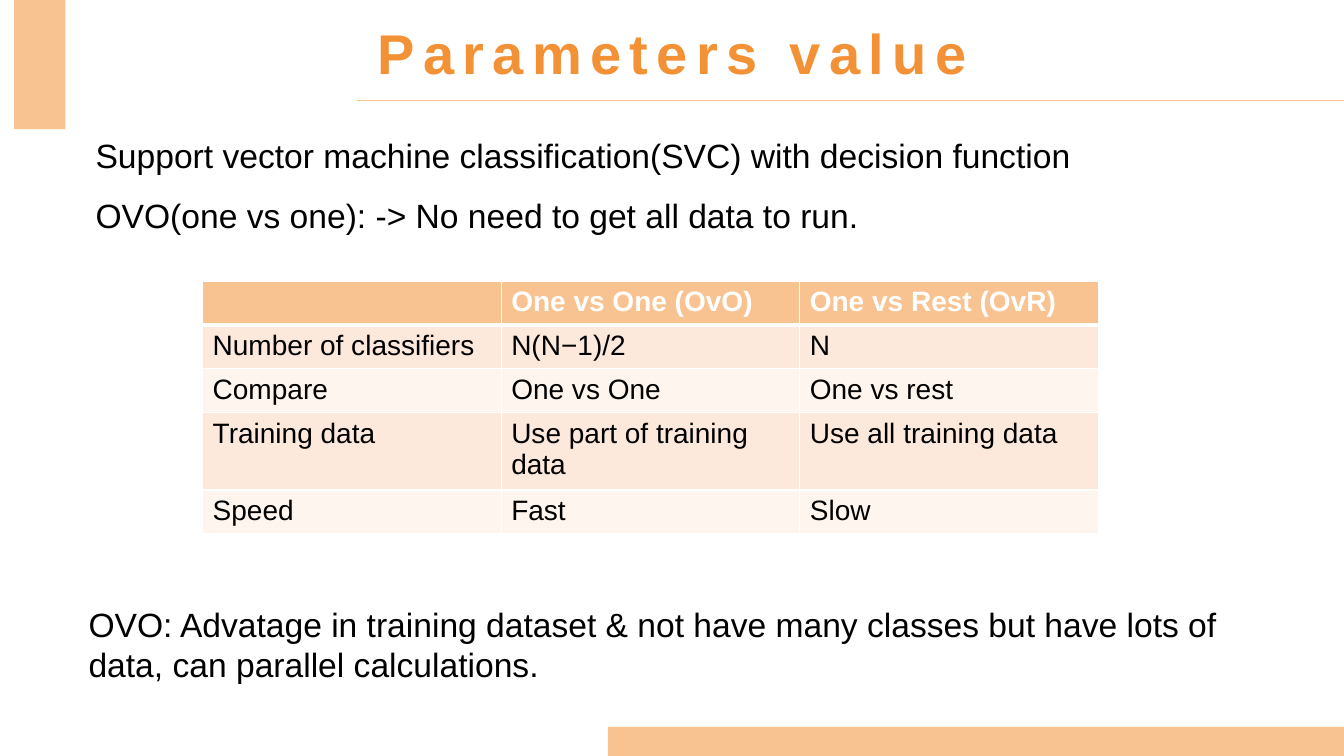
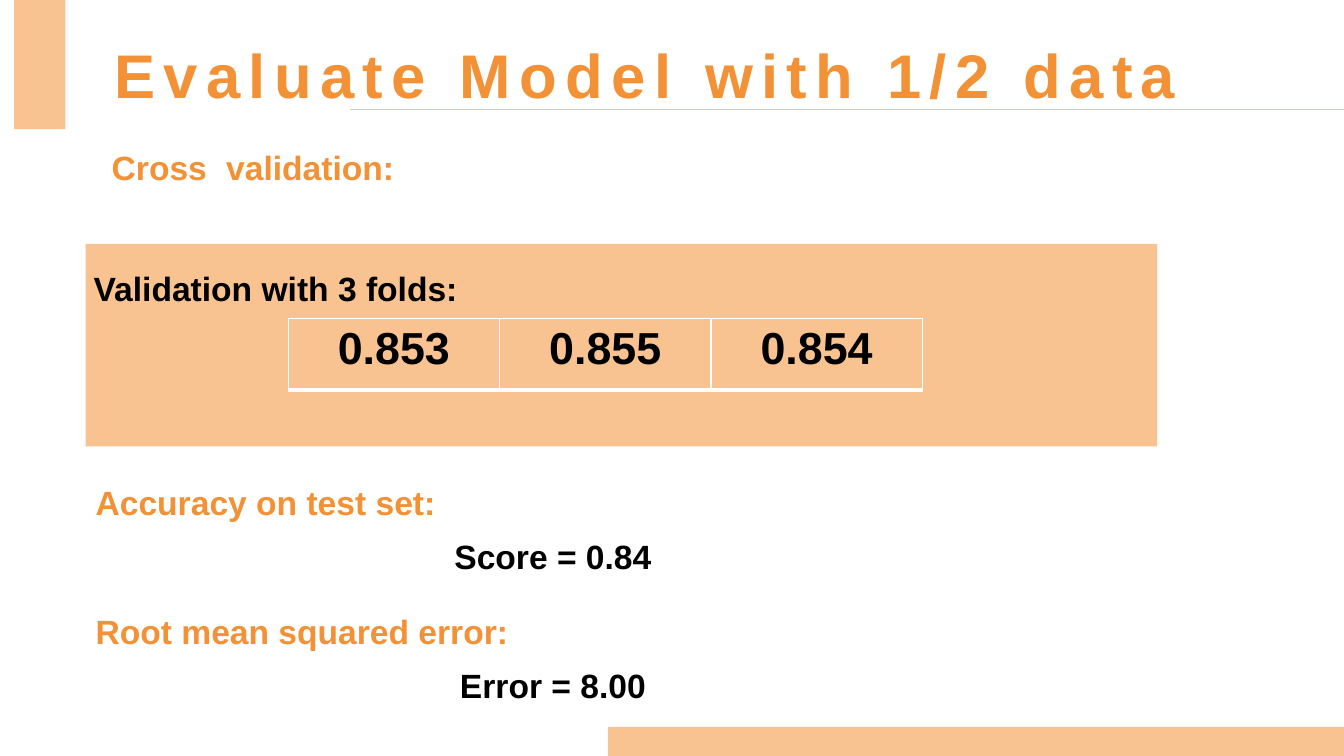
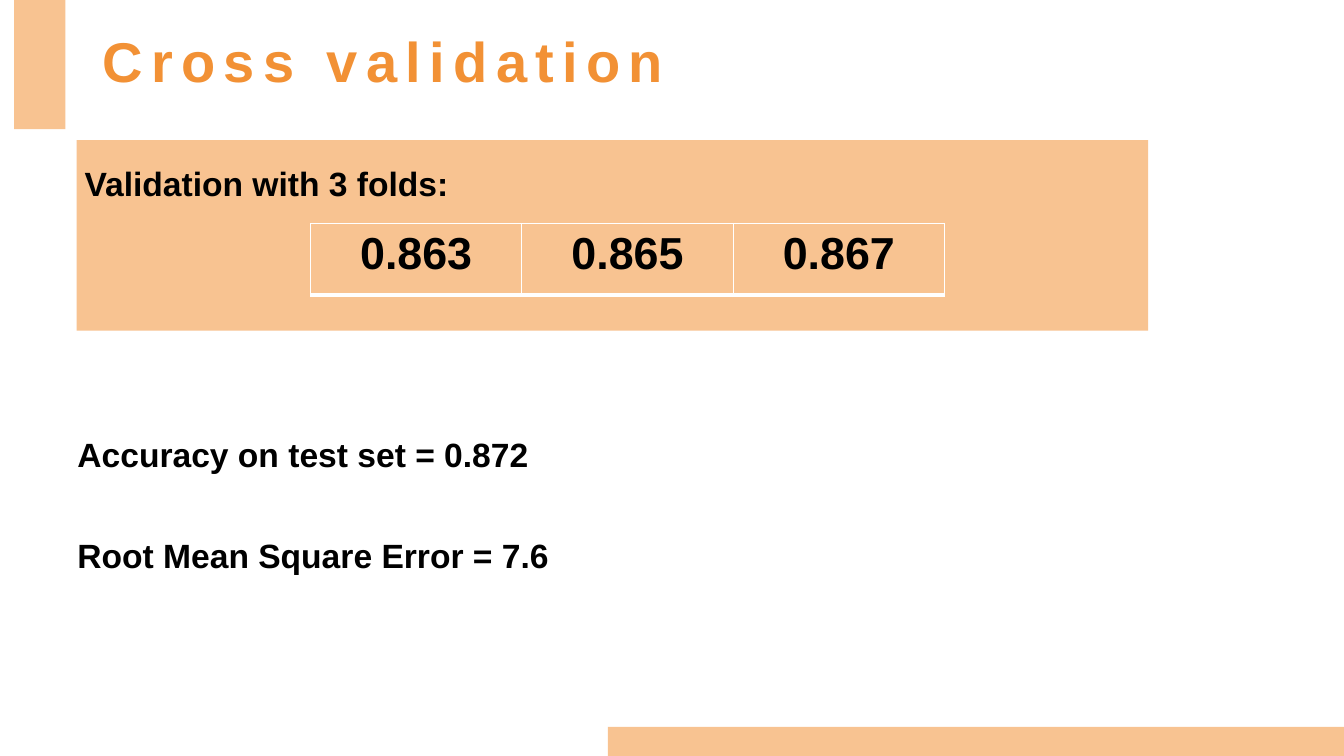
from dataclasses import dataclass
from lxml.etree import SubElement
from pptx import Presentation
from pptx.dml.color import RGBColor
from pptx.enum.shapes import MSO_CONNECTOR, MSO_SHAPE
from pptx.enum.text import MSO_ANCHOR, PP_ALIGN
from pptx.oxml.ns import qn
from pptx.util import Pt


@dataclass(frozen=True)
class Theme:
    font: str = "Arial"
    band: str = "F8C391"
    accent: str = "F29135"
    ink: str = "000000"
    paper: str = "FFFFFF"
    row_dark: str = "FCE9DC"
    row_light: str = "FEF5EE"
    title: int = 40
    large_title: int = 44
    score: int = 32
    body: int = 24
    cell: int = 20
    tracking: int = 6


theme = Theme()


def style_paragraph(paragraph, size, color, bold=False, align=PP_ALIGN.LEFT, tracking=0):
    paragraph.alignment = align
    font = paragraph.font
    font.name, font.size, font.bold = theme.font, Pt(size), bold
    font.color.rgb = RGBColor.from_string(color)
    if tracking:
        paragraph._p.pPr.find(qn("a:defRPr")).set("spc", str(tracking * 100))


def add_text(slide, box, text, size=theme.body, color=theme.ink, bold=True,
             align=PP_ALIGN.LEFT, anchor=MSO_ANCHOR.TOP, spacing=None, tracking=0):
    shape = slide.shapes.add_textbox(*map(Pt, box))
    frame = shape.text_frame
    frame.word_wrap = True
    frame.vertical_anchor = anchor
    paragraph = frame.paragraphs[0]
    paragraph.add_run().text = text
    paragraph.line_spacing = spacing
    style_paragraph(paragraph, size, color, bold, align, tracking)
    return paragraph


presentation = Presentation()
presentation.slide_width, presentation.slide_height = Pt(960), Pt(540)
blank_layout = presentation.slide_layouts[6]

# Shared bands, panels behind the scores and title rules
bands = [(10.1, 0, 36.7, 92.2), (434.2, 519.1, 525.8, 20.9)]
panels = [None, (61.2, 174.2, 765.4, 144.7), (54.7, 100.1, 765.4, 136.1)]
title_rules = [(254.9, 72), (249.8, 77.8), None]
for panel, rule in zip(panels, title_rules):
    slide = presentation.slides.add_slide(blank_layout)
    for box in bands + ([panel] if panel else []):
        shape = slide.shapes.add_shape(MSO_SHAPE.RECTANGLE, *map(Pt, box))
        shape.shadow.inherit = False
        shape.fill.solid()
        shape.fill.fore_color.rgb = RGBColor.from_string(theme.band)
        shape.line.fill.background()
    if rule:
        left, top = rule
        connector = slide.shapes.add_connector(
            MSO_CONNECTOR.STRAIGHT, Pt(left), Pt(top), Pt(960), Pt(top))
        connector.line.color.rgb = RGBColor.from_string(theme.band)
        connector.line.width = Pt(0.5)
        SubElement(connector._element.spPr, qn("a:effectLst"))
parameters, evaluation, validation = presentation.slides

# Titles
title_style = dict(color=theme.accent, tracking=theme.tracking)
add_text(parameters, (24.5, 15.1, 911.5, 56.9), "Parameters value", theme.title,
         align=PP_ALIGN.CENTER, spacing=0.9, **title_style)
add_text(evaluation, (29.2, 23, 864, 60.5), "Evaluate Model with 1/2 data",
         theme.large_title, align=PP_ALIGN.CENTER, **title_style)
add_text(validation, (66.2, 17.3, 719.3, 56.9), "Cross validation", theme.title,
         anchor=MSO_ANCHOR.MIDDLE, spacing=0.9, **title_style)

# Parameters: statements above and below the table
add_text(parameters, (61.2, 78.5, 716.4, 93.2),
         "Support vector machine classification(SVC) with decision function "
         "OVO(one vs one): -> No need to get all data to run.",
         bold=False, spacing=Pt(43))
add_text(parameters, (56.2, 427.7, 861.8, 65.5),
         "OVO: Advatage in training dataset & not have many classes but have "
         "lots of data, can parallel calculations.", bold=False)

# Evaluation: headings and results
heading_style = dict(anchor=MSO_ANCHOR.MIDDLE, spacing=0.9)
cross_heading = add_text(evaluation, (72.7, 91.4, 719.3, 56.9), "Cross",
                         color=theme.accent, **heading_style)
gap = cross_heading.add_run()
gap.text = " "
gap.font.size = Pt(28)
gap._r.get_or_add_rPr().set("spc", str(theme.tracking * 100))
cross_heading.add_run().text = "validation:"
for top, heading, result in [(331.9, "Accuracy on test set:", "Score = 0.84"),
                             (424.1, "Root mean squared error:", "Error = 8.00")]:
    add_text(evaluation, (61.2, top, 719.3, 56.9), heading,
             color=theme.accent, **heading_style)
    add_text(evaluation, (150.5, top + 47.5, 488.9, 36), result, align=PP_ALIGN.CENTER)

# Validation: results
for top, result in [(297.4, "Accuracy on test set = 0.872"),
                    (370.1, "Root Mean Square Error = 7.6")]:
    add_text(validation, (48.2, top, 872.6, 56.9), result, **heading_style)

# Captions inside the panels
for slide, left, top in [(evaluation, 59.8, 187.9), (validation, 53.3, 113)]:
    add_text(slide, (left, top, 408, 36), "Validation with 3 folds:")

# Tables
comparison = [
    ["", "One vs One (OvO)", "One vs Rest (OvR)"],
    ["Number of classifiers", "N(N−1)/2", "N"],
    ["Compare", "One vs One", "One vs rest"],
    ["Training data", "Use part of training data", "Use all training data"],
    ["Speed", "Fast", "Slow"],
]
tables = [
    (parameters, 144.7, 201, 213.3, [31.2, 31.2, 31.2, 54.4, 31.2], comparison,
     theme.cell, theme.paper, PP_ALIGN.LEFT),
    (evaluation, 205.9, 227.5, 151, [51.1], [["0.853", "0.855", "0.854"]],
     theme.score, theme.ink, PP_ALIGN.CENTER),
    (validation, 221.8, 159.8, 151, [51.1], [["0.863", "0.865", "0.867"]],
     theme.score, theme.ink, PP_ALIGN.CENTER),
]
for slide, left, top, column_width, heights, rows, size, first_color, align in tables:
    table = slide.shapes.add_table(
        len(rows), len(rows[0]), Pt(left), Pt(top),
        Pt(column_width * len(rows[0])), Pt(sum(heights))).table
    table.first_row = table.horz_banding = False
    for column in table.columns:
        column.width = Pt(column_width)
    for row_index, (height, row) in enumerate(zip(heights, rows)):
        table.rows[row_index].height = Pt(height)
        first = row_index == 0
        fill = theme.band if first else (theme.row_light, theme.row_dark)[row_index % 2]
        widths = {"L": 1, "R": 1, "T": 3 if row_index == 1 else 1, "B": 3 if first else 1}
        for column_index, text in enumerate(row):
            cell = table.cell(row_index, column_index)
            cell_properties = cell._tc.get_or_add_tcPr()
            for side, width in widths.items():
                border = SubElement(cell_properties, qn(f"a:ln{side}"), w=str(Pt(width)))
                border_fill = SubElement(border, qn("a:solidFill"))
                SubElement(border_fill, qn("a:srgbClr"), val=theme.paper)
            cell.fill.solid()
            cell.fill.fore_color.rgb = RGBColor.from_string(fill)
            cell.text = text
            style_paragraph(cell.text_frame.paragraphs[0], size,
                            first_color if first else theme.ink, first, align)

presentation.save("out.pptx")
